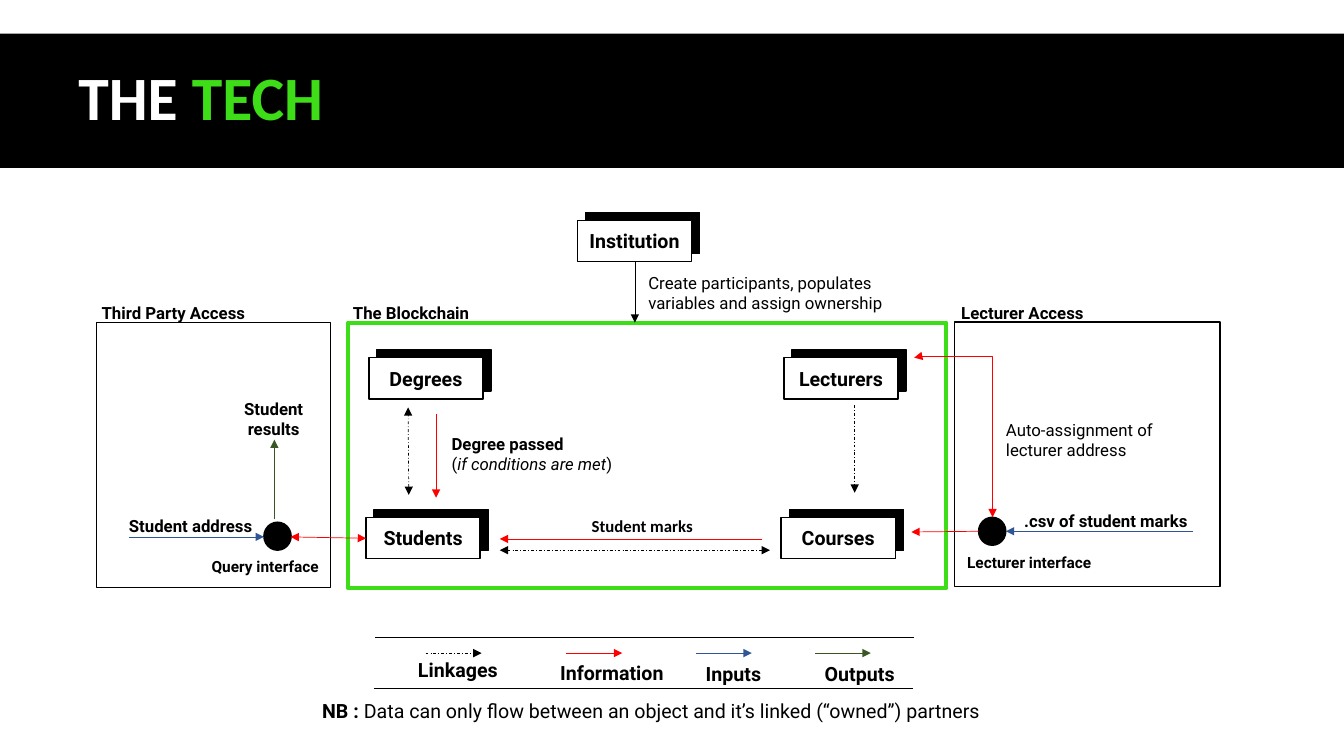
from lxml.etree import SubElement
from pptx import Presentation
from pptx.dml.color import RGBColor
from pptx.enum.dml import MSO_LINE
from pptx.enum.shapes import MSO_CONNECTOR, MSO_SHAPE
from pptx.enum.text import MSO_ANCHOR, PP_ALIGN
from pptx.oxml.ns import qn
from pptx.util import Pt

BLACK, WHITE, GREEN = "000000", "FFFFFF", "3DDD17"
RED, BLUE, OLIVE = "FF0000", "2F5597", "385723"
LEFT, CENTER = PP_ALIGN.LEFT, PP_ALIGN.CENTER

# All lengths are in points.
# frame: left, top, width, height, line colour, line width, title, title left
FRAMES = [
    (248.5, 230.5, 427.5, 189.5, GREEN, 3, "The Blockchain", 245),
    (69, 230.5, 167, 189, BLACK, 1, "Third Party Access", 65.5),
    (682, 230, 189.5, 189, BLACK, 1, "Lecturer Access", 679.5),
]
NODE_W, NODE_H, NODE_SHIFT = 81.5, 29.5, 5.75
NODES = {
    "Institution": (412.5, 157.5),
    "Degrees": (263.5, 255.5),
    "Students": (261.5, 369.5),
    "Lecturers": (560, 255.5),
    "Courses": (558, 369.5),
}
INTERFACES = [(188.5, 373), (699, 369.5)]
INTERFACE_W, INTERFACE_H = 19.5, 20

# arrow: start, end, colour, dashed, arrowhead at both ends
ARROWS = [
    ((453.5, 186.5), (453.5, 230.5), BLACK, False, False),
    ((292, 353.5), (291.5, 291), BLACK, True, True),
    ((357, 393), (550, 393), BLACK, True, True),
    ((610.5, 289.5), (610.5, 352), BLACK, True, False),
    ((544.5, 385), (357, 385), RED, False, False),
    ((311.5, 296), (311.5, 355.5), RED, False, False),
    ((852.5, 379.5), (718.5, 379.5), BLUE, False, False),
    ((699, 379.5), (651, 380), RED, False, False),
    ((261.5, 384.5), (207.5, 383.5), RED, False, True),
    ((92, 383.5), (188.5, 383.5), BLUE, False, False),
    ((196, 371), (196, 314), OLIVE, False, False),
]
ASSIGNMENT = ((653, 255.5), (709, 369.5))

# label: left, top, width, height, size, alignment, paragraphs of (text, style) runs
LABELS = [
    (456, 191, 196.5, 36, 12, LEFT,
     [[("Create participants, populates variables and assign ownership", "")]]),
    (315.5, 306.5, 158.5, 36, 12, LEFT,
     [[("Degree passed", "b")], [("(", ""), ("if conditions are met", "i"), (")", "")]]),
    (711.5, 296, 122.5, 36, 12, LEFT, [[("Auto-assignment of lecturer address", "")]]),
    (724.5, 361.5, 135.5, 21.5, 12, LEFT, [[(".csv of student marks", "b")]]),
    (85, 364.5, 122.5, 21.5, 12, LEFT, [[("Student address", "b")]]),
    (167, 281.5, 57, 36, 12, CENTER, [[("Student", "b")], [("results", "b")]]),
    (138, 394.5, 103, 21, 11, CENTER, [[("Query interface", "b")]]),
    (674.5, 391.5, 121.5, 21, 11, CENTER, [[("Lecturer interface", "b")]]),
    (204.5, 495.5, 521.5, 24.5, 14, CENTER,
     [[("NB : ", "b"),
       ("Data can only flow between an object and it’s linked (“owned”) partners", "")]]),
]
# legend entry: name, colour, arrow left, text left, text top
LEGEND = [
    ("Linkages", BLACK, 304, 291.5, 466.5),
    ("Information", RED, 404.5, 393, 468.5),
    ("Inputs", BLUE, 497, 497, 469.5),
    ("Outputs", OLIVE, 582, 582, 469.5),
]
LEGEND_Y, LEGEND_ARROW = 466.5, 40
LEGEND_RULES = [((268, 455), (653, 455)), ((267, 491.5), (652, 491.5))]


def rgb(hex_colour):
    """Turn a hex string into a colour."""
    return RGBColor.from_string(hex_colour)


def add_box(kind, x, y, w, h, fill=None, line=None, weight=1):
    """Add a preset shape with a plain fill and outline."""
    sp = shapes.add_shape(kind, Pt(x), Pt(y), Pt(w), Pt(h))
    sp.shadow.inherit = False
    if fill:
        sp.fill.solid()
        sp.fill.fore_color.rgb = rgb(fill)
    else:
        sp.fill.background()
    if line:
        sp.line.color.rgb = rgb(line)
        sp.line.width = Pt(weight)
    else:
        sp.line.fill.background()
    return sp


def style_font(font, size, colour=BLACK, name="Roboto", bold=None):
    """Set the face, size, colour and weight of a font."""
    font.name, font.size, font.bold = name, Pt(size), bold
    font.color.rgb = rgb(colour)


def add_label(x, y, w, h, size, align, paragraphs, face="Roboto"):
    """Add a wrapped text box of styled runs."""
    tf = shapes.add_textbox(Pt(x), Pt(y), Pt(w), Pt(h)).text_frame
    tf.word_wrap = True
    for i, runs in enumerate(paragraphs):
        p = tf.add_paragraph() if i else tf.paragraphs[0]
        p.alignment = align
        style_font(p.font, size, name=face)
        for text, style in runs:
            r = p.add_run()
            r.text = text
            r.font.bold, r.font.italic = "b" in style, "i" in style


def add_line(start, end, colour=BLACK, dashed=False, heads=(), kind=MSO_CONNECTOR.STRAIGHT):
    """Add a thin connector with arrowheads at the ends named in heads."""
    c = shapes.add_connector(kind, *map(Pt, start + end))
    c.line.color.rgb = rgb(colour)
    c.line.width = Pt(0.5)
    if dashed:
        c.line.dash_style = MSO_LINE.DASH_DOT
    for head in heads:
        SubElement(c.line._get_or_add_ln(), qn("a:" + head), type="triangle")
    SubElement(c._element.spPr, qn("a:effectLst"))
    return c


def add_corner(start, end, colour):
    """Add a two-headed elbow that runs right from start, then down to end."""
    (x1, y1), (x2, y2) = start, end
    cx, cy, run, drop = (x1 + x2) / 2, (y1 + y2) / 2, x2 - x1, y2 - y1
    c = add_line((cx + drop / 2, cy - run / 2), (cx - drop / 2, cy + run / 2), colour,
                 heads=("headEnd", "tailEnd"), kind=MSO_CONNECTOR.ELBOW)
    sp_pr = c._element.spPr
    sp_pr.find(qn("a:xfrm")).set("rot", str(270 * 60000))
    guides = sp_pr.find(qn("a:prstGeom")).find(qn("a:avLst"))
    SubElement(guides, qn("a:gd"), name="adj1", fmla="val -900")


prs = Presentation()
prs.slide_width, prs.slide_height = Pt(960), Pt(540)
shapes = prs.slides.add_slide(prs.slide_layouts[6]).shapes

title = add_box(MSO_SHAPE.RECTANGLE, 0, 24, 960, 96, BLACK)
tf = title.text_frame
tf.margin_left = Pt(56)
tf.vertical_anchor = MSO_ANCHOR.MIDDLE
p = tf.paragraphs[0]
p.alignment, p.line_spacing = LEFT, 0.9
for text, colour in (("THE ", WHITE), ("TECH", GREEN)):
    r = p.add_run()
    r.text = text
    style_font(r.font, 44, colour, "Calibri", True)

for x, y, w, h, colour, weight, name, name_x in FRAMES:
    add_box(MSO_SHAPE.RECTANGLE, x, y, w, h, None, colour, weight)
    add_label(name_x, 212.5, 123, 21.5, 12, LEFT, [[(name, "b")]])

for name, (x, y) in NODES.items():
    add_box(MSO_SHAPE.RECTANGLE, x + NODE_SHIFT, y - NODE_SHIFT, NODE_W, NODE_H, BLACK, BLACK)
    sp = add_box(MSO_SHAPE.RECTANGLE, x, y, NODE_W, NODE_H, WHITE, BLACK)
    sp.text_frame.text = name
    sp.text_frame.vertical_anchor = MSO_ANCHOR.MIDDLE
    p = sp.text_frame.paragraphs[0]
    p.alignment = CENTER
    style_font(p.font, 14, bold=True)

for x, y in INTERFACES:
    add_box(MSO_SHAPE.OVAL, x, y, INTERFACE_W, INTERFACE_H, BLACK, BLACK)

for start, end, colour, dashed, both in ARROWS:
    add_line(start, end, colour, dashed, ("headEnd", "tailEnd") if both else ("tailEnd",))
add_corner(*ASSIGNMENT, RED)

for label in LABELS:
    add_label(*label)
add_label(379.5, 364.5, 158.5, 19, 12, CENTER, [[("Student marks", "b")]], "Calibri")

for name, colour, x, text_x, text_y in LEGEND:
    add_line((x, LEGEND_Y), (x + LEGEND_ARROW, LEGEND_Y), colour, name == "Linkages", ("tailEnd",))
    add_label(text_x, text_y, 96.5, 24.5, 14, LEFT, [[(name, "b")]])
for start, end in LEGEND_RULES:
    add_line(start, end)

prs.save("out.pptx")
